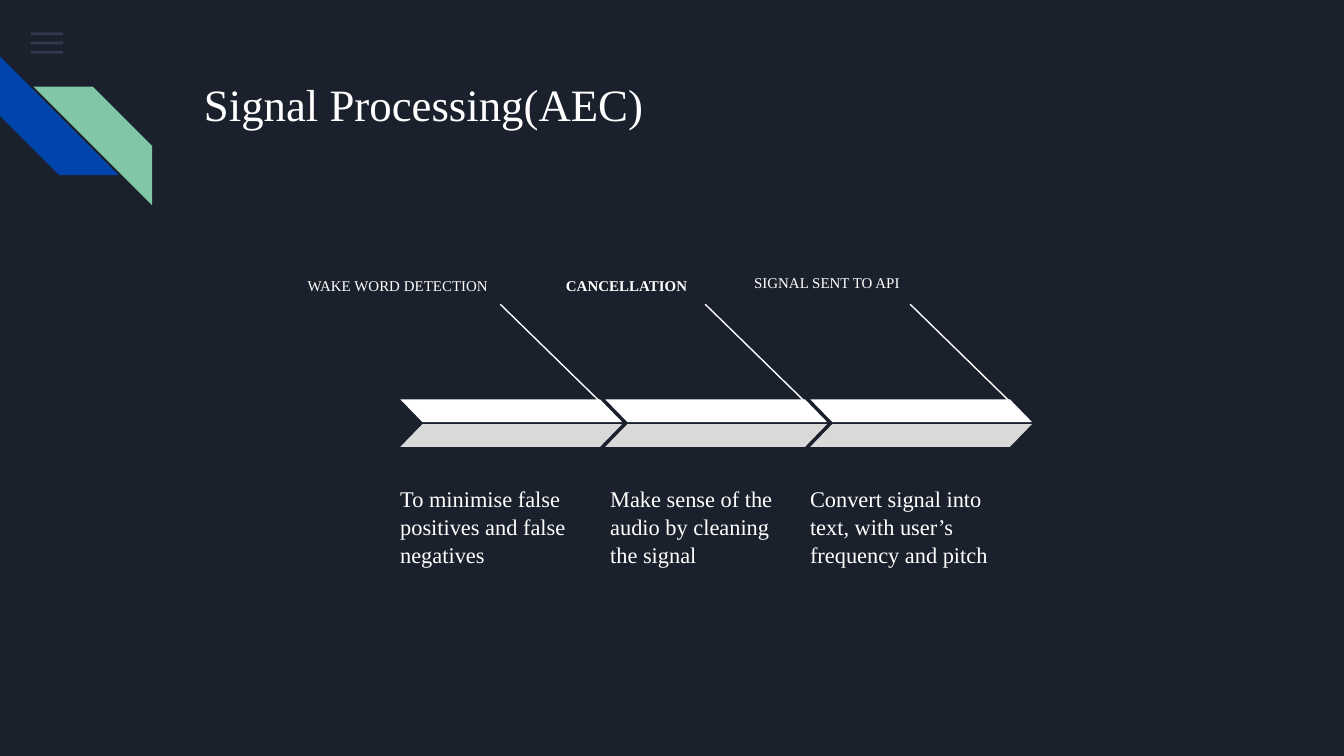
from lxml import etree
from pptx import Presentation
from pptx.dml.color import RGBColor
from pptx.enum.shapes import MSO_CONNECTOR, MSO_SHAPE
from pptx.oxml.ns import qn
from pptx.util import Pt

FONT = "Times New Roman"
WHITE = "FFFFFF"
STAGE_PITCH = 109.8

# label, its offset and width, bold; description, its offset and width
STAGES = [
    (("WAKE WORD DETECTION", -56.8, -70.6, 116.6, False),
     ("To minimise false positives and false negatives", -7.2, 116.6)),
    (("CANCELLATION", -28.2, -70.6, 116.6, True),
     ("Make sense of the audio by cleaning the signal", -4.5, 116.6)),
    (("SIGNAL SENT TO API", -37.2, -72, 100.8, False),
     ("Convert signal into text, with user’s frequency and pitch", -7.2, 125.3)),
]


def paint(fill, color):
    fill.solid()
    fill.fore_color.rgb = RGBColor.from_string(color)


def add_text(slide, text, left, top, width, height, *, size, bold=False,
             line_spacing=1.0):
    box = slide.shapes.add_textbox(Pt(left), Pt(top), Pt(width), Pt(height))
    frame = box.text_frame
    frame.word_wrap = True
    frame.margin_left = frame.margin_right = Pt(7.2)
    frame.margin_top = frame.margin_bottom = Pt(7.2)
    paragraph = frame.paragraphs[0]
    paragraph.line_spacing = line_spacing
    run = paragraph.add_run()
    run.text = text
    run.font.name = FONT
    run.font.size = Pt(size)
    run.font.bold = bold
    paint(run.font.fill, WHITE)


def add_block(slide, kind, left, top, width, height, color, *,
              adjustment=None, flipped=False, opacity=None):
    shape = slide.shapes.add_shape(kind, Pt(left), Pt(top), Pt(width), Pt(height))
    shape.shadow.inherit = False
    shape.line.fill.background()
    paint(shape.fill, color)
    if adjustment is not None:
        shape.adjustments[0] = adjustment
    if flipped:
        shape._element.spPr.get_or_add_xfrm().set("flipH", "1")
    if opacity is not None:
        color_element = shape._element.spPr.find(".//" + qn("a:srgbClr"))
        etree.SubElement(color_element, qn("a:alpha"), val=str(opacity * 1000))
    return shape


def add_line(slide, start_x, start_y, end_x, end_y):
    line = slide.shapes.add_connector(
        MSO_CONNECTOR.STRAIGHT, Pt(start_x), Pt(start_y), Pt(end_x), Pt(end_y))
    line.line.width = Pt(0.75)
    paint(line.line.fill, WHITE)
    etree.SubElement(line._element.spPr, qn("a:effectLst"))


def add_menu_icon(slide, left, top):
    for row in range(3):
        add_block(slide, MSO_SHAPE.RECTANGLE, left, top + row * 4.95, 17.3, 1.5,
                  "55688B", opacity=36)


def add_corner_stripes(slide, left, top, size=63.6):
    blue = add_block(slide, MSO_SHAPE.DIAGONAL_STRIPE, left, top, size, size,
                     "0145AC", adjustment=0.5)
    blue.rotation = 270
    add_block(slide, MSO_SHAPE.DIAGONAL_STRIPE, left + 18, top + 16.3, size, size,
              "82C7A5", adjustment=0.5, flipped=True)


def add_stage(slide, left, top, label, description):
    """Draw one arrow of the process, with its leader line and two texts."""
    label_text, label_x, label_y, label_width, bold = label
    body_text, body_x, body_width = description
    add_line(slide, left + 53.5, top - 51, left + 117.5, top + 11.5)
    for offset, color, flipped in ((0, WHITE, True), (13.2, "D9D9D9", False)):
        add_block(slide, MSO_SHAPE.PARALLELOGRAM, left, top + offset, 118.8, 12.2,
                  color, adjustment=0.97, flipped=flipped)
    add_text(slide, label_text, left + label_x, top + label_y, label_width, 30,
             size=8, bold=bold)
    add_text(slide, body_text, left + body_x, top + 38, body_width, 91.4,
             size=12, line_spacing=1.05)


def add_process(slide, left, top):
    for index, (label, description) in enumerate(STAGES):
        add_stage(slide, left + index * STAGE_PITCH, top, label, description)


def main():
    presentation = Presentation()
    presentation.slide_width, presentation.slide_height = Pt(720), Pt(405)
    slide = presentation.slides.add_slide(presentation.slide_layouts[6])
    paint(slide.background.fill, "1B212C")
    add_menu_icon(slide, 16.6, 17.4)
    add_corner_stripes(slide, 0, 30.2)
    add_text(slide, "Signal Processing(AEC)", 102.2, 31, 554.4, 72,
             size=24, line_spacing=1.1)
    add_process(slide, 214.5, 214)
    presentation.save("out.pptx")


if __name__ == "__main__":
    main()
